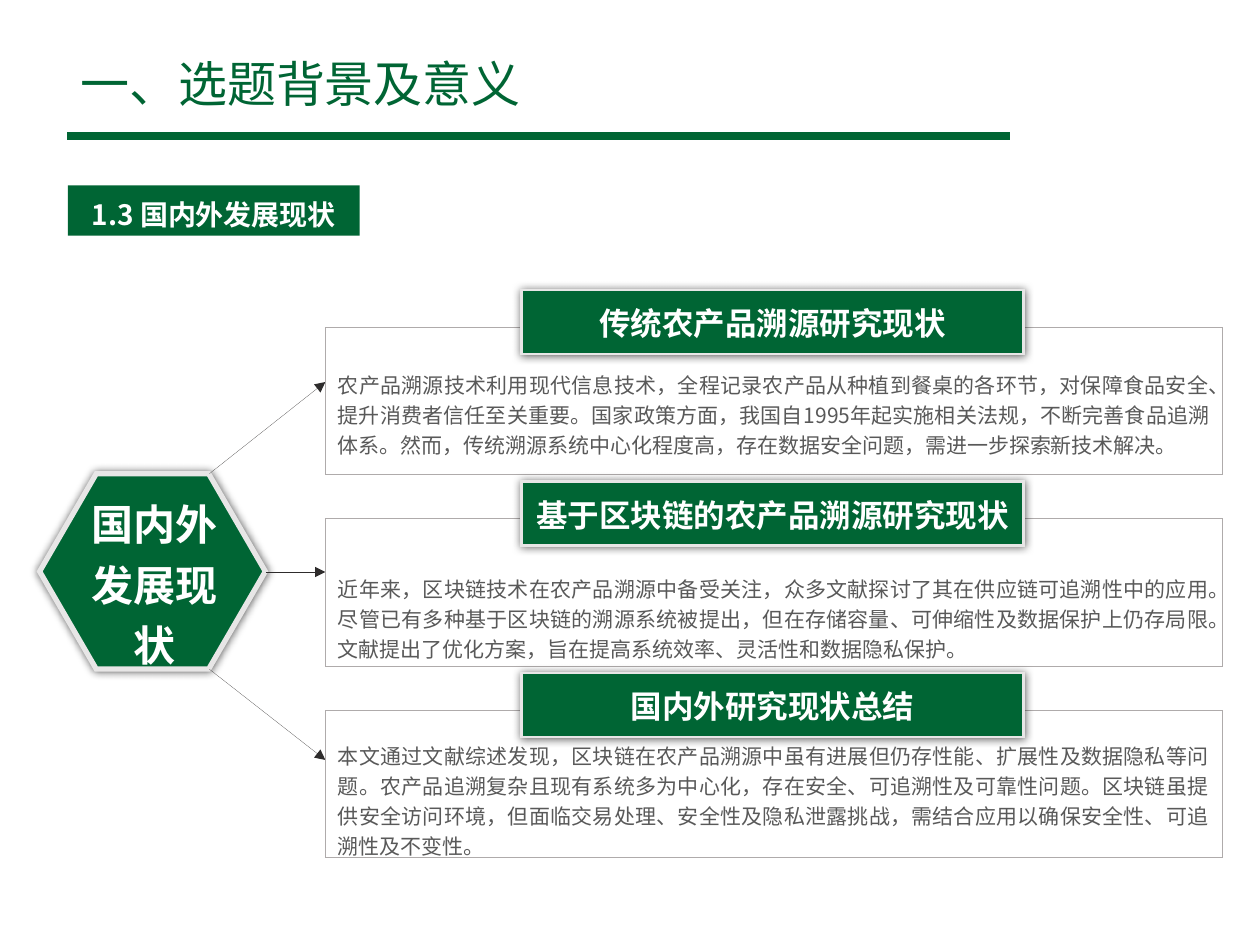
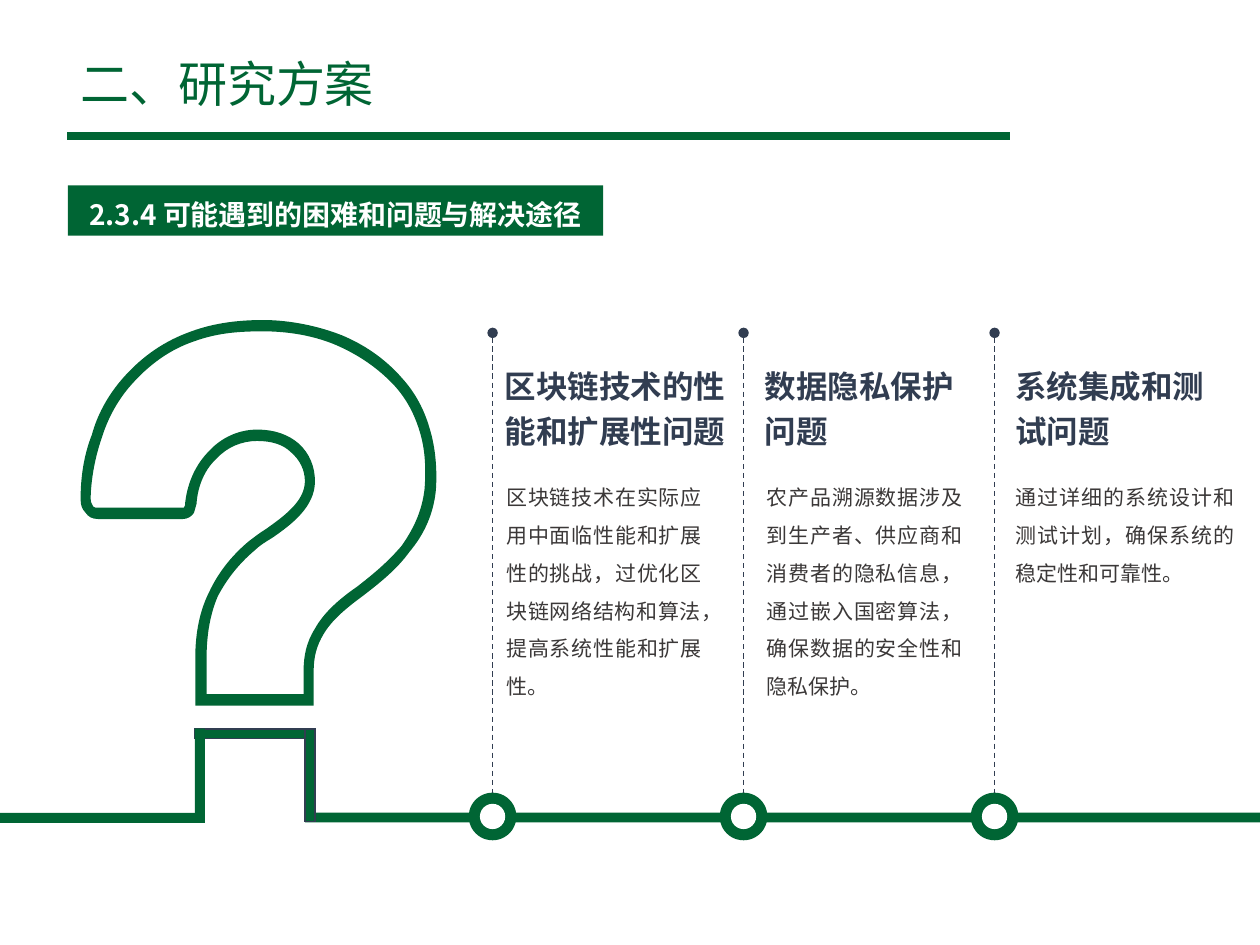
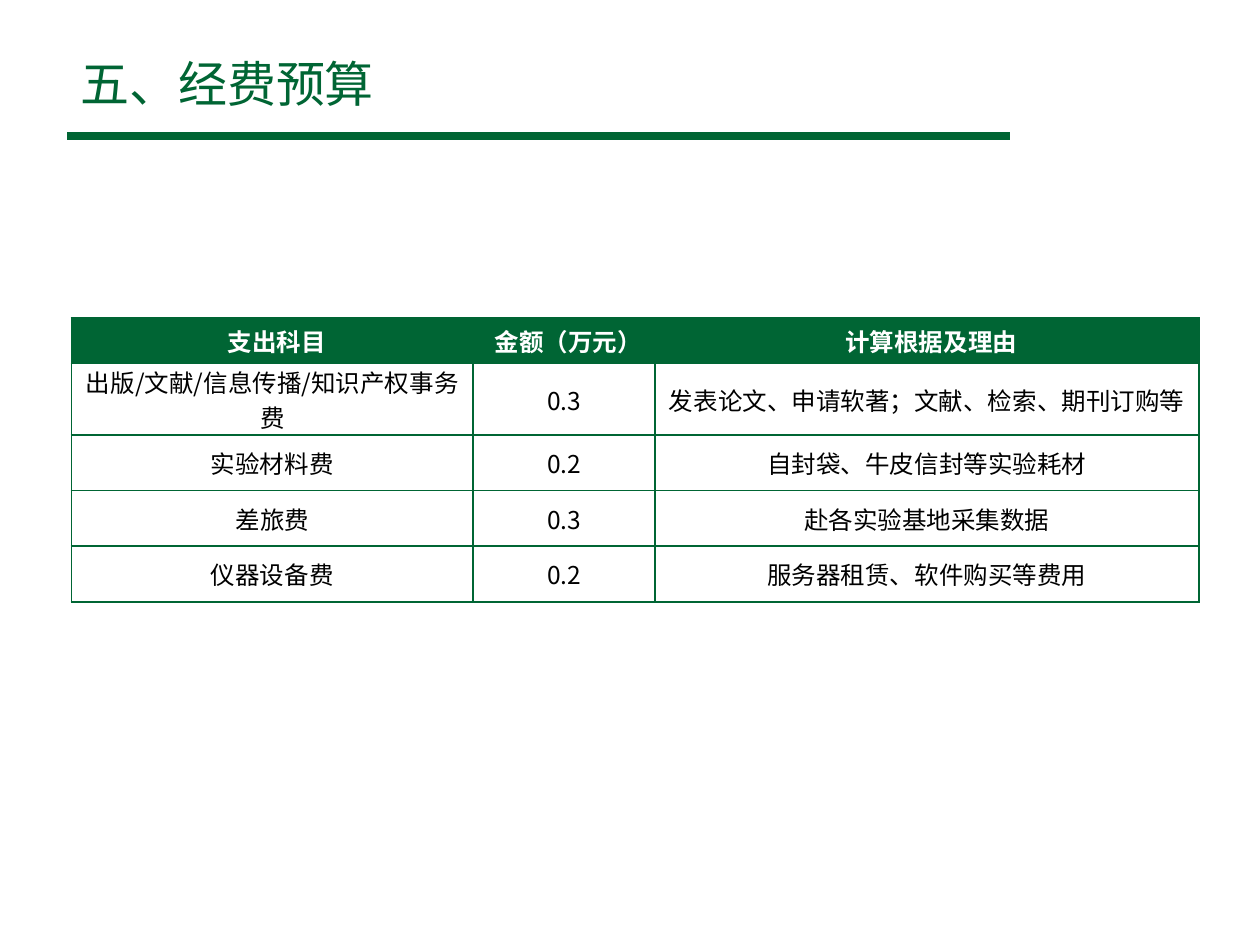
from lxml.etree import SubElement
from pptx import Presentation
from pptx.dml.color import RGBColor
from pptx.enum.dml import MSO_LINE
from pptx.enum.shapes import MSO_CONNECTOR, MSO_SHAPE as SHP
from pptx.enum.text import MSO_ANCHOR as ANC, MSO_AUTO_SIZE, PP_ALIGN as AL
from pptx.oxml.ns import qn
from pptx.util import Cm, Pt

FONT = "Noto Sans CJK SC"
GREEN, NAVY, WHITE, BLACK = "006534", "313D51", "FFFFFF", "000000"
PALE, GREY, DARK, BODY, NOTE = "E7E6E6", "AFABAB", "2E2C2C", "595959", "3B3838"
HALF = 0.13, 0.25  # default text box insets: vertical, horizontal
HAIR = 0.01  # thinnest line, in points

CARDS = [  # heading, text, top and height of the text
    ("传统农产品溯源研究现状",
     "农产品溯源技术利用现代信息技术，全程记录农产品从种植到餐桌的各环节，对保障食品安全、"
     "提升消费者信任至关重要。国家政策方面，我国自1995年起实施相关法规，不断完善食品追溯体系。"
     "然而，传统溯源系统中心化程度高，存在数据安全问题，需进一步探索新技术解决。", 7.28, 2.11),
    ("基于区块链的农产品溯源研究现状",
     "近年来，区块链技术在农产品溯源中备受关注，众多文献探讨了其在供应链可追溯性中的应用。"
     "尽管已有多种基于区块链的溯源系统被提出，但在存储容量、可伸缩性及数据保护上仍存局限。"
     "文献提出了优化方案，旨在提高系统效率、灵活性和数据隐私保护。", 11.39, 2.13),
    ("国内外研究现状总结",
     "本文通过文献综述发现，区块链在农产品溯源中虽有进展但仍存性能、扩展性及数据隐私等问题。"
     "农产品追溯复杂且现有系统多为中心化，存在安全、可追溯性及可靠性问题。"
     "区块链虽提供安全访问环境，但面临交易处理、安全性及隐私泄露挑战，"
     "需结合应用以确保安全性、可追溯性及不变性。", 14.75, 2.72),
]

PROBLEMS = [  # heading, its left and width, text, its left, width and height
    ("区块链技术的性能和扩展性问题", 10.18, 4.6,
     "区块链技术在实际应用中面临性能和扩展性的挑战，过优化区块链网络结构和算法，提高系统性能和扩展性。",
     10.21, 3.94, 4.62),
    ("数据隐私保护问题", 15.42, 3.94,
     "农产品溯源数据涉及到生产者、供应商和消费者的隐私信息，通过嵌入国密算法，确保数据的安全性和隐私保护。",
     15.46, 3.94, 4.62),
    ("系统集成和测试问题", 20.47, 3.94,
     "通过详细的系统设计和测试计划，确保系统的稳定性和可靠性。", 20.47, 4.42, 2.21),
]

BUDGET = [
    ("支出科目", "金额（万元）", "计算根据及理由"),
    ("出版/文献/信息传播/知识产权事务费", "0.3", "发表论文、申请软著；文献、检索、期刊订购等"),
    ("实验材料费", "0.2", "自封袋、牛皮信封等实验耗材"),
    ("差旅费", "0.3", "赴各实验基地采集数据"),
    ("仪器设备费", "0.2", "服务器租赁、软件购买等费用"),
]

# Question mark contours in hundredths of an inch: 2 numbers are a line, 6 a curve
MARK_OUTER = [
    (145, 412), (78, 412), (73, 412, 70, 410, 68, 407), (65, 404, 64, 401, 64, 396),
    (64, 385, 65, 365, 73, 345), (77, 330, 85, 315, 96, 302),
    (113, 282, 132, 270, 152, 263), (171, 256, 191, 254, 209, 254),
    (225, 254, 248, 257, 271, 266), (288, 273, 305, 284, 319, 300),
    (330, 312, 337, 326, 341, 340), (346, 356, 347, 374, 346, 389),
    (344, 409, 336, 425, 325, 438), (315, 452, 301, 463, 288, 473),
    (273, 484, 263, 493, 257, 503), (251, 513, 249, 522, 249, 533),
    (249, 555), (249, 560), (245, 560), (159, 560), (155, 560), (155, 555),
    (155, 523), (155, 501, 159, 484, 166, 470),
    (173, 455, 183, 442, 197, 430), (201, 427, 206, 423, 211, 420),
    (225, 410, 242, 398, 242, 382), (242, 373, 238, 365, 231, 359),
    (225, 353, 216, 350, 204, 350), (192, 350, 180, 355, 172, 364),
    (163, 372, 157, 385, 156, 400), (155, 402, 155, 405, 154, 407),
    (152, 410, 149, 412, 145, 412),
]
MARK_INNER = [
    (78, 403), (145, 403), (146, 403, 146, 403, 146, 403), (147, 402, 147, 400, 147, 399),
    (149, 382, 156, 368, 166, 358), (176, 347, 190, 341, 204, 341),
    (218, 341, 229, 345, 237, 352), (246, 360, 250, 371, 250, 382),
    (250, 402, 232, 416, 216, 427), (211, 430, 206, 433, 202, 437),
    (189, 448, 180, 460, 173, 473), (167, 487, 164, 503, 164, 523),
    (164, 551), (241, 551), (241, 533), (241, 521, 243, 510, 250, 499),
    (256, 488, 267, 477, 283, 466), (296, 456, 308, 446, 319, 433),
    (328, 420, 335, 406, 337, 388), (338, 374, 338, 358, 333, 342),
    (329, 329, 323, 317, 313, 306), (299, 291, 283, 281, 267, 274),
    (246, 265, 224, 263, 209, 263), (191, 263, 173, 264, 154, 271),
    (136, 277, 118, 289, 102, 308), (92, 320, 85, 334, 81, 347),
    (74, 367, 72, 386, 72, 396), (72, 399, 73, 400, 74, 402),
    (75, 403, 76, 403, 78, 403),
]


def rgb(color):
    return RGBColor.from_string(color)


def cm(*values):
    return [Cm(v) for v in values]


def write(tf, text, size, color, bold=False, inset=HALF, anchor=ANC.TOP, **para):
    """Fill a text frame with one formatted paragraph."""
    v, h = cm(*inset)
    frame = dict(word_wrap=True, auto_size=MSO_AUTO_SIZE.NONE, vertical_anchor=anchor,
                 margin_left=h, margin_right=h, margin_top=v, margin_bottom=v)
    for name, value in frame.items():
        setattr(tf, name, value)
    write_paragraph(tf.paragraphs[0], text, size, color, bold, **para)


def write_paragraph(p, text, size, color, bold=False, **para):
    for name, value in para.items():
        setattr(p, name, value)
    r = p.add_run()
    r.text = text
    for name, value in dict(name=FONT, size=Pt(size), bold=bold).items():
        setattr(r.font, name, value)
    r.font.color.rgb = rgb(color)
    SubElement(r.font._element, qn("a:ea"), typeface=FONT)


def add_text(slide, box, text, size, color, **fmt):
    write(slide.shapes.add_textbox(*cm(*box)).text_frame, text, size, color, **fmt)


def paint(sp, fill, line=None, width=1):
    sp.shadow.inherit = False
    sp.fill.solid()
    sp.fill.fore_color.rgb = rgb(fill)
    if line:
        sp.line.color.rgb = rgb(line)
        sp.line.width = Pt(width)
        SubElement(sp.line._get_or_add_ln(), qn("a:miter"), lim="800000")
    else:
        sp.line.fill.background()


def add_block(slide, kind, box, fill, line=None, width=1):
    sp = slide.shapes.add_shape(kind, *cm(*box))
    paint(sp, fill, line, width)
    return sp


def add_glow(sp):
    """Soft dark shadow on all sides."""
    effects = sp._element.spPr.find(qn("a:effectLst"))
    shadow = SubElement(effects, qn("a:outerShdw"), blurRad=str(Pt(5)), dist="0", dir="0",
                        algn="ctr", rotWithShape="0")
    color = SubElement(shadow, qn("a:srgbClr"), val=BLACK)
    SubElement(color, qn("a:alpha"), val="60000")


def add_line(slide, ends, color, width, dash=None, **arrow):
    c = slide.shapes.add_connector(MSO_CONNECTOR.STRAIGHT, *cm(*ends))
    c.line.color.rgb = rgb(color)
    c.line.width = Pt(width)
    if dash:
        c.line.dash_style = dash
    for end, kind in arrow.items():
        SubElement(c.line._get_or_add_ln(), qn(f"a:{end}"), type=kind)
    SubElement(c._element.spPr, qn("a:effectLst"))


def add_outline(slide, contours, fill):
    """Freeform with holes; its curves keep their control points."""
    unit = Cm(2.54) / 100
    builder = slide.shapes.build_freeform(*contours[0][0], scale=unit)
    for i, (start, *segs) in enumerate(contours):
        if i:
            builder.move_to(*start)
        points = [seg[k:k + 2] for seg in segs for k in range(0, len(seg), 2)]
        builder.add_line_segments(points, close=True)
    sp = builder.convert_to_shape()
    paint(sp, fill)
    # Join the three points of each curve
    steps = sp._element.spPr.iter(qn("a:lnTo"))
    steps = iter(list(steps))
    for seg in (seg for contour in contours for seg in contour[1:]):
        step = next(steps)
        if len(seg) == 6:
            step.tag = qn("a:cubicBezTo")
            for _ in range(2):
                control = next(steps)
                step.append(control[0])
                control.getparent().remove(control)


def new_slide(prs, title, title_width=13.41):
    """Slide with the shared title and green rule."""
    slide = prs.slides.add_slide(prs.slide_layouts[5])
    sp = slide.shapes.title
    sp.left, sp.top, sp.width, sp.height = cm(1.37, 1.07, title_width, 1.22)
    write(sp.text_frame, title, 28, GREEN, anchor=ANC.MIDDLE, alignment=AL.LEFT)
    add_block(slide, SHP.RECTANGLE, (1.37, 2.67, 18.97, 0.13), GREEN, GREEN)
    return slide


def add_tag(slide, text, width):
    sp = add_block(slide, SHP.RECTANGLE, (1.37, 3.74, width, 1.01), GREEN)
    write(sp.text_frame, text, 16, WHITE, bold=True, inset=(0.1, 0.18),
          alignment=AL.CENTER, line_spacing=1.2)


def add_card(slide, top, heading, text, text_top, text_height):
    add_block(slide, SHP.RECTANGLE, (6.56, top, 18.08, 2.97), WHITE, GREY, HAIR)
    box = 10.52, top - 0.75, 10.11, 1.29
    add_glow(add_block(slide, SHP.RECTANGLE, box, GREEN, PALE, 1.5))
    add_text(slide, box, heading, 18, WHITE, bold=True, alignment=AL.CENTER, line_spacing=1.2)
    add_text(slide, (6.56, text_top, 18.08, text_height), text, 12, BODY,
             alignment=AL.JUSTIFY, line_spacing=1.2)


def add_problem(slide, x, heading, head_left, head_width, text, left, width, height):
    y = 16.46
    for d, color in ((0.96, GREEN), (0.51, WHITE)):
        add_block(slide, SHP.OVAL, (x - d / 2, y - d / 2, d, d), color)
    add_line(slide, (x, 6.71, x, 15.98), NAVY, 0.75, MSO_LINE.DASH, headEnd="oval")
    add_text(slide, (head_left, 7.24, head_width, 1.85), heading, 18, NAVY, bold=True,
             inset=(0, 0), line_spacing=1.2)
    add_text(slide, (left, 9.52, width, height), text, 12, NOTE, inset=(0, 0),
             alignment=AL.JUSTIFY, line_spacing=1.5)


def add_borders(cell, color, width):
    tcPr = cell._tc.get_or_add_tcPr()
    for side in ("lnL", "lnR", "lnT", "lnB"):
        ln = SubElement(tcPr, qn(f"a:{side}"), w=str(Pt(width)))
        SubElement(SubElement(ln, qn("a:solidFill")), qn("a:srgbClr"), val=color)


def add_budget_table(slide, rows, left, top, col_widths, row_heights):
    box = cm(left, top, sum(col_widths), sum(row_heights))
    table = slide.shapes.add_table(len(rows), len(col_widths), *box).table
    table.first_row = table.horz_banding = False
    for col, width in zip(table.columns, col_widths):
        col.width = Cm(width)
    for i, (row, height, texts) in enumerate(zip(table.rows, row_heights, rows)):
        row.height = Cm(height)
        for cell, text in zip(row.cells, texts):
            fmt = dict(vertical_anchor=ANC.MIDDLE, margin_left=Cm(0.18),
                       margin_right=Cm(0.18), margin_top=0, margin_bottom=0)
            for name, value in fmt.items():
                setattr(cell, name, value)
            add_borders(cell, GREEN, 1)
            p = cell.text_frame.paragraphs[0]
            if i == 0:
                cell.fill.solid()
                cell.fill.fore_color.rgb = rgb(GREEN)
                p._p.get_or_add_pPr().set("marL", str(Cm(0.18)))
            else:
                cell.fill.background()
            write_paragraph(p, text, 14, BLACK if i else WHITE, bold=i == 0,
                            alignment=AL.CENTER)


def status_slide(prs):
    slide = new_slide(prs, "一、选题背景及意义")
    add_tag(slide, "1.3 国内外发展现状", 5.88)
    # Hub and its arrows
    hub = add_block(slide, SHP.HEXAGON, (0.8, 9.55, 4.55, 3.94), GREEN, PALE, 3)
    hub.adjustments[0] = 0.29
    add_glow(hub)
    for ends in ((4.22, 9.55, 6.56, 7.7), (5.36, 11.53, 6.56, 11.53), (4.22, 13.49, 6.56, 15.32)):
        add_line(slide, ends, DARK, HAIR, tailEnd="triangle")
    # Cards
    for i, card in enumerate(CARDS):
        add_card(slide, 6.6 + 3.86 * i, *card)
    add_text(slide, (1.46, 9.72, 3.3, 3.94), "国内外发展现状", 24, WHITE, bold=True,
             alignment=AL.CENTER, line_spacing=1.2)


def problems_slide(prs):
    slide = new_slide(prs, "二、研究方案")
    add_tag(slide, "2.3.4 可能遇到的困难和问题与解决途径", 10.79)
    # Question mark whose dot is a step in the base line
    add_outline(slide, (MARK_OUTER, MARK_INNER), GREEN)
    for box, line in (((0, 16.39, 4.13, 0.2), None), ((6.15, 16.38, 19.25, 0.2), None),
                      ((3.93, 14.69, 2.41, 0.2), NAVY), ((3.93, 14.69, 0.2, 1.87), None),
                      ((6.15, 14.69, 0.2, 1.87), NAVY)):
        add_block(slide, SHP.RECTANGLE, box, GREEN, line)
    # Milestones
    for i, problem in enumerate(PROBLEMS):
        add_problem(slide, 9.93 + 5.06 * i, *problem)


def budget_slide(prs):
    slide = new_slide(prs, "五、经费预算", 15.9)
    add_budget_table(slide, BUDGET, 1.44, 6.41, (8.1, 3.66, 10.97), [0.92] + [1.12] * 4)


def main():
    prs = Presentation()
    prs.slide_width, prs.slide_height = cm(25.4, 19.05)
    status_slide(prs)
    problems_slide(prs)
    budget_slide(prs)
    prs.save("out.pptx")


if __name__ == "__main__":
    main()
